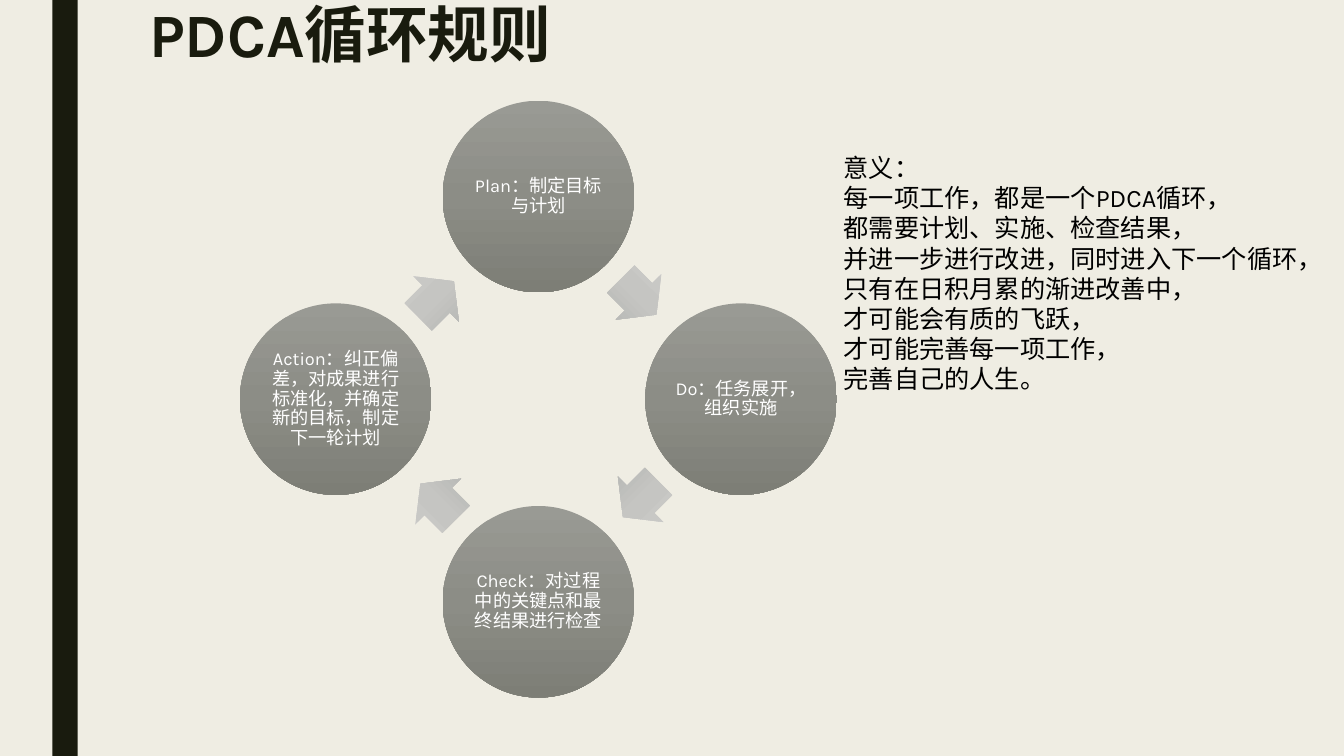
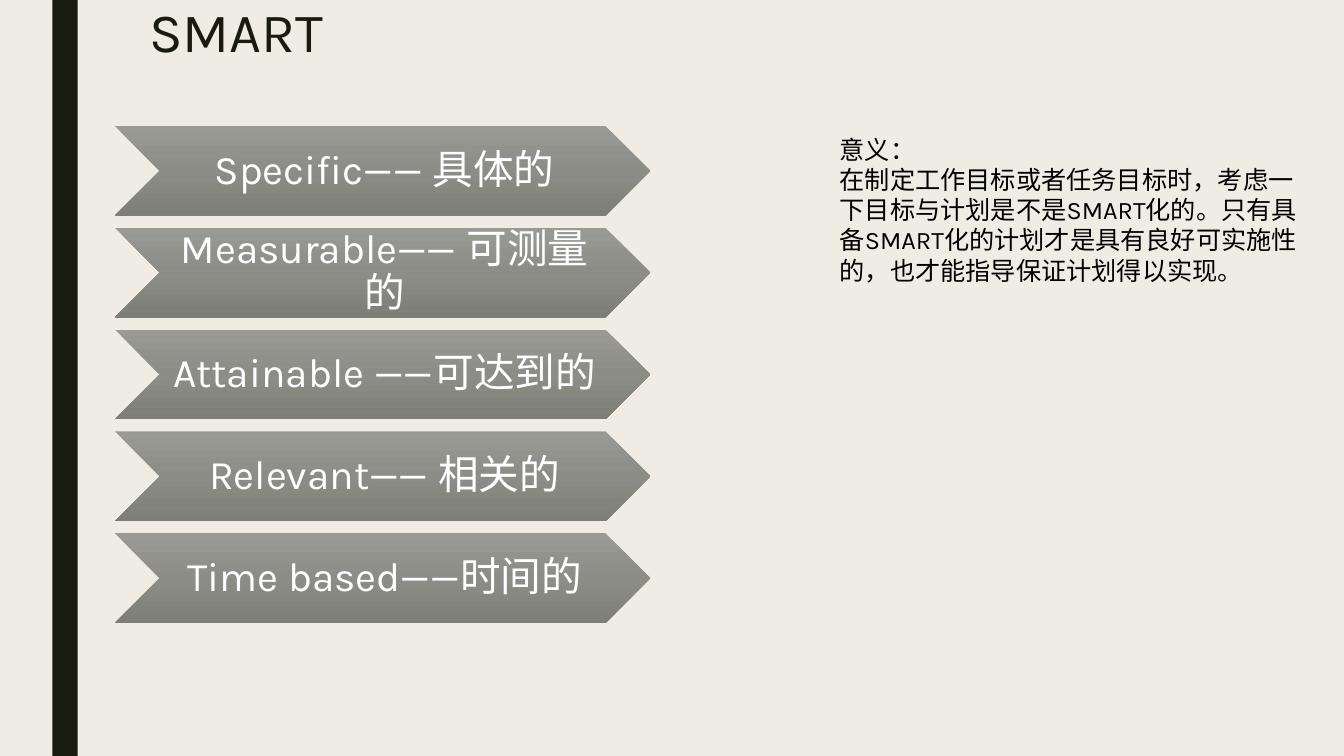
"""Build two slides on the PDCA cycle and the SMART goal rules."""
from copy import deepcopy
from dataclasses import dataclass
from math import cos, radians, sin

from pptx import Presentation
from pptx.dml.color import RGBColor
from pptx.enum.shapes import MSO_SHAPE
from pptx.enum.text import MSO_ANCHOR, MSO_AUTO_SIZE, PP_ALIGN
from pptx.oxml.ns import qn
from pptx.presentation import Presentation as Deck
from pptx.shapes.autoshape import Shape
from pptx.slide import Slide
from pptx.util import Inches, Pt

FONT = "Karla"
CREAM = RGBColor(0xEF, 0xED, 0xE3)
INK = RGBColor(0x19, 0x1B, 0x0E)
BLACK = RGBColor(0x00, 0x00, 0x00)
WHITE = RGBColor(0xFF, 0xFF, 0xFF)
STONE = (RGBColor(0x99, 0x9A, 0x94), RGBColor(0x8C, 0x8D, 0x86), RGBColor(0x7D, 0x7E, 0x76))
SILVER = (RGBColor(0xCD, 0xCD, 0xCB), RGBColor(0xC5, 0xC5, 0xC2), RGBColor(0xAF, 0xB0, 0xAD))

CYCLE_X, CYCLE_Y = 5.34, 3.96
CIRCLE_RING, CIRCLE_SIZE = 2.01, 1.9
ARROW_RING, ARROW_START = 1.42, -45.6
ARROW_W, ARROW_H = 0.5, 0.64
CHEVRON_TOP, CHEVRON_STEP = 1.25, 1.01


@dataclass(frozen=True)
class Box:
    """Place and size in inches."""

    left: float
    top: float
    width: float
    height: float

    def emu(self) -> tuple[int, int, int, int]:
        """Return the four lengths for a python-pptx call."""
        return Inches(self.left), Inches(self.top), Inches(self.width), Inches(self.height)


@dataclass(frozen=True)
class Label:
    """Text of a filled shape with its size and insets."""

    text: str
    size: float
    left_inset: float
    right_inset: float


PDCA_STEPS = (
    "Plan：制定目标与计划",
    "Do：任务展开，组织实施",
    "Check：对过程中的关键点和最终结果进行检查",
    "Action：纠正偏差，对成果进行标准化，并确定新的目标，制定下一轮计划",
)
PDCA_MEANING = (
    "意义：",
    "每一项工作，都是一个PDCA循环，",
    "都需要计划、实施、检查结果，",
    "并进一步进行改进，同时进入下一个循环，",
    "只有在日积月累的渐进改善中，",
    "才可能会有质的飞跃，",
    "才可能完善每一项工作，",
    "完善自己的人生。",
)
SMART_RULES = (
    "Specific—— 具体的",
    "Measurable—— 可测量的",
    "Attainable ——可达到的",
    "Relevant—— 相关的",
    "Time based——时间的",
)
SMART_MEANING = (
    "意义：",
    "在制定工作目标或者任务目标时，考虑一下目标与计划是不是SMART化的。"
    "只有具备SMART化的计划才是具有良好可实施性的，也才能指导保证计划得以实现。",
)


def centred(x: float, y: float, width: float, height: float) -> Box:
    """Return a box around a centre point."""
    return Box(x - width / 2, y - height / 2, width, height)


def on_ring(radius: float, degrees: float) -> tuple[float, float]:
    """Return a point on a ring around the cycle's centre."""
    angle = radians(degrees)
    return CYCLE_X + radius * cos(angle), CYCLE_Y + radius * sin(angle)


def add_plain_shape(slide: Slide, kind: MSO_SHAPE, box: Box) -> Shape:
    """Add a shape without line or shadow."""
    sp = slide.shapes.add_shape(kind, *box.emu())
    sp.shadow.inherit = False
    sp.line.fill.background()
    return sp


def add_gradient_shape(slide: Slide, kind: MSO_SHAPE, box: Box, colours: tuple[RGBColor, ...]) -> Shape:
    """Add a shape with a three-stop gradient from top to bottom."""
    sp = add_plain_shape(slide, kind, box)
    sp.fill.gradient()
    sp.fill.gradient_angle = 270
    stop_list = sp._element.spPr.find(".//" + qn("a:gsLst"))
    stop_list.insert(1, deepcopy(stop_list[0]))
    for stop, colour, position in zip(sp.fill.gradient_stops, colours, (0, 0.5, 1)):
        stop.color.rgb = colour
        stop.position = position
    return sp


def add_label(sp: Shape, label: Label) -> None:
    """Write white centred text into a shape."""
    tf = sp.text_frame
    tf.word_wrap = True
    tf.vertical_anchor = MSO_ANCHOR.MIDDLE
    tf.margin_left, tf.margin_right = Inches(label.left_inset), Inches(label.right_inset)
    tf.margin_top = tf.margin_bottom = Inches(0.02)
    p = tf.paragraphs[0]
    p.text = label.text
    p.alignment = PP_ALIGN.CENTER
    p.line_spacing = 0.9
    p.font.name, p.font.size, p.font.color.rgb = FONT, Pt(label.size), WHITE


def add_meaning(slide: Slide, box: Box, lines: tuple[str, ...], wrap: bool) -> None:
    """Add the explanation, one paragraph a line."""
    tf = slide.shapes.add_textbox(*box.emu()).text_frame
    tf.word_wrap = wrap
    tf.auto_size = MSO_AUTO_SIZE.SHAPE_TO_FIT_TEXT
    for i, line in enumerate(lines):
        p = tf.add_paragraph() if i else tf.paragraphs[0]
        p.text = line
        p.font.name, p.font.size, p.font.color.rgb = FONT, Pt(18), BLACK


def add_base_slide(prs: Deck, title: str, size: float, height: float, bold: bool) -> Slide:
    """Add a slide with the shared background, band and title."""
    slide = prs.slides.add_slide(prs.slide_layouts[6])
    slide.background.fill.solid()
    slide.background.fill.fore_color.rgb = CREAM
    band = add_plain_shape(slide, MSO_SHAPE.RECTANGLE, Box(0.52, 0, 0.25, 7.5))
    band.fill.solid()
    band.fill.fore_color.rgb = INK
    tf = slide.shapes.add_textbox(*Box(1.38, 0, 10.5, height).emu()).text_frame
    tf.word_wrap = True
    p = tf.paragraphs[0]
    p.text = title
    p.line_spacing = 0.89
    p.font.name, p.font.size, p.font.color.rgb = FONT, Pt(size), INK
    p.font.bold = bold
    return slide


def build_pdca(prs: Deck) -> None:
    """Draw the four-step cycle and its meaning."""
    slide = add_base_slide(prs, "PDCA循环规则", 44, 1, True)
    add_meaning(slide, Box(8.27, 1.46, 5, 2.52), PDCA_MEANING, False)
    for i, step in enumerate(PDCA_STEPS):
        turn = 90 * i
        x, y = on_ring(CIRCLE_RING, turn - 90)
        circle = add_gradient_shape(slide, MSO_SHAPE.OVAL, centred(x, y, CIRCLE_SIZE, CIRCLE_SIZE), STONE)
        add_label(circle, Label(step, 13, 0.02, 0.02))
        x, y = on_ring(ARROW_RING, turn + ARROW_START)
        arrow = add_gradient_shape(slide, MSO_SHAPE.RIGHT_ARROW, centred(x, y, ARROW_W, ARROW_H), SILVER)
        arrow.adjustments[0], arrow.adjustments[1] = 0.6, 0.5
        arrow.rotation = turn + 45


def build_smart(prs: Deck) -> None:
    """Draw the five SMART chevrons and their meaning."""
    slide = add_base_slide(prs, "SMART", 39.6, 0.69, False)
    add_meaning(slide, Box(8.23, 1.28, 4.91, 1.62), SMART_MEANING, True)
    for i, rule in enumerate(SMART_RULES):
        box = Box(1.14, CHEVRON_TOP + i * CHEVRON_STEP, 5.31, 0.89)
        chevron = add_gradient_shape(slide, MSO_SHAPE.CHEVRON, box, STONE)
        add_label(chevron, Label(rule, 29, 0.04, 0))


def main() -> None:
    """Build and save the presentation."""
    prs = Presentation()
    prs.slide_width, prs.slide_height = Inches(13.33), Inches(7.5)
    build_pdca(prs)
    build_smart(prs)
    prs.save("out.pptx")


main()
